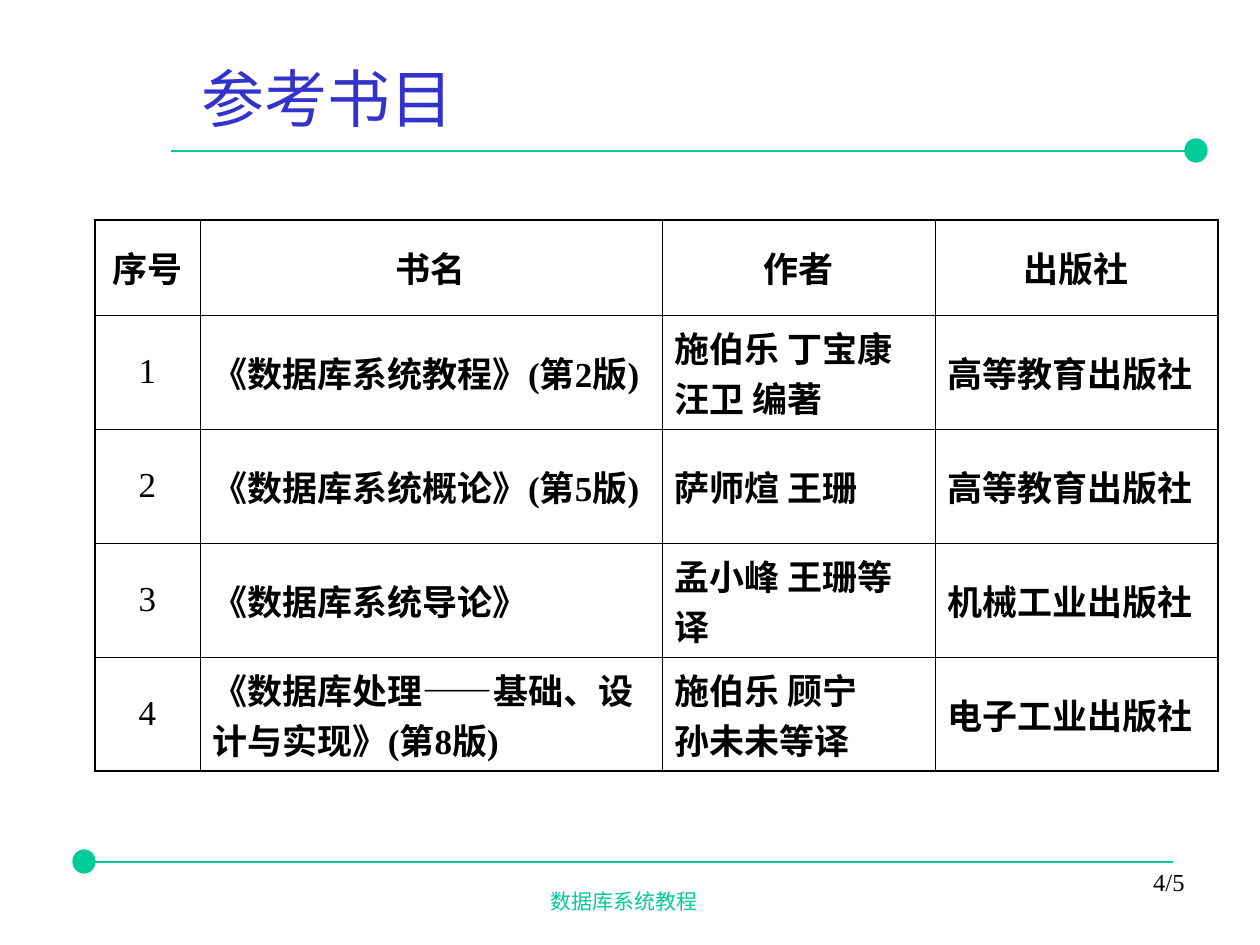
from pptx import Presentation
from pptx.dml.color import RGBColor
from pptx.enum.shapes import MSO_CONNECTOR, MSO_SHAPE
from pptx.enum.text import MSO_ANCHOR, MSO_AUTO_SIZE, PP_ALIGN
from pptx.oxml import parse_xml
from pptx.oxml.ns import nsdecls
from pptx.util import Pt

PX = 914400 / 126
COLORS = {"green": "00CC99", "blue": "3333CC", "black": "000000"}
FONT = "Times New Roman"


def box(*lengths):
    return [round(v * PX) for v in lengths]


def write(tf, text, size, color, align, bold=False):
    tf.word_wrap = True
    p = tf.paragraphs[0]
    p.text = text
    p.alignment = align
    for r in p.runs:
        for name, value in {"name": FONT, "size": Pt(size), "bold": bold}.items():
            setattr(r.font, name, value)
        r.font.color.rgb = RGBColor.from_string(COLORS[color])


prs = Presentation()
prs.slide_width, prs.slide_height = box(1260, 945)
s = prs.slides.add_slide(prs.slide_layouts[5])
green = RGBColor.from_string(COLORS["green"])

# Rules with a dot at one end: line start, line end, y, dot left
for x1, x2, y, dot_x in [(171, 1197, 151, 1185), (84, 1173, 862, 73)]:
    dot = s.shapes.add_shape(MSO_SHAPE.FLOWCHART_CONNECTOR, *box(dot_x, y - 12, 22, 23))
    dot.shadow.inherit = False
    dot.fill.solid()
    dot.fill.fore_color.rgb = green
    dot.line.color.rgb = green
    dot.line.width = Pt(0.75)
    rule = s.shapes.add_connector(MSO_CONNECTOR.STRAIGHT, *box(x1, y, x2, y))
    rule.line.color.rgb = green
    rule.line.width = Pt(1.25)
    rule._element.spPr.append(parse_xml(f'<a:effectLst {nsdecls("a")}/>'))

# Footer and page number
for text, place, size, color, align in [
    ("数据库系统教程", (84, 882, 1081, 38), 12, "green", PP_ALIGN.CENTER),
    ("4/5", (903, 861, 294, 63), 14, "black", PP_ALIGN.RIGHT),
]:
    write(s.shapes.add_textbox(*box(*place)).text_frame, text, size, color, align)

# Title
title = s.shapes.title
title.left, title.top, title.width, title.height = box(147, 59, 997, 77)
tf = title.text_frame
tf.auto_size = MSO_AUTO_SIZE.NONE
tf.vertical_anchor = MSO_ANCHOR.MIDDLE
tf.margin_left = box(54)[0]
write(tf, "参考书目", 36, "blue", PP_ALIGN.LEFT)

# Book table
rows = [
    ["序号", "书名", "作者", "出版社"],
    ["1", "《数据库系统教程》(第2版)", "施伯乐 丁宝康 汪卫 编著", "高等教育出版社"],
    ["2", "《数据库系统概论》(第5版)", "萨师煊 王珊", "高等教育出版社"],
    ["3", "《数据库系统导论》", "孟小峰 王珊等译", "机械工业出版社"],
    ["4", "《数据库处理——基础、设计与实现》(第8版)", "施伯乐 顾宁\v孙未未等译", "电子工业出版社"],
]
widths = [105, 462, 273, 283]
heights = [95] + [114] * 4
table = s.shapes.add_table(
    len(rows), len(widths), *box(95, 220, sum(widths), sum(heights))).table
table.first_row = table.horz_banding = False
for col, width in zip(table.columns, box(*widths)):
    col.width = width
for row, height in zip(table.rows, box(*heights)):
    row.height = height

last_row, last_col = len(rows) - 1, len(widths) - 1
for i, row in enumerate(rows):
    for j, text in enumerate(row):
        cell = table.cell(i, j)
        cell.vertical_anchor = MSO_ANCHOR.MIDDLE
        cell.fill.background()
        align = PP_ALIGN.CENTER if i == 0 or j == 0 else PP_ALIGN.LEFT
        write(cell.text_frame, text, 20, "black", align, bold=i == 0 or j > 0)
        # Outer edges are heavier than inner ones
        outer = {"L": j == 0, "R": j == last_col, "T": i == 0, "B": i == last_row}
        for k, (side, heavy) in enumerate(outer.items()):
            cell._tc.get_or_add_tcPr().insert(k, parse_xml(
                f'<a:ln{side} {nsdecls("a")} w="{Pt(1.08 if heavy else 0.45)}">'
                f'<a:solidFill><a:srgbClr val="{COLORS["black"]}"/></a:solidFill>'
                f'</a:ln{side}>'))

prs.save("out.pptx")
